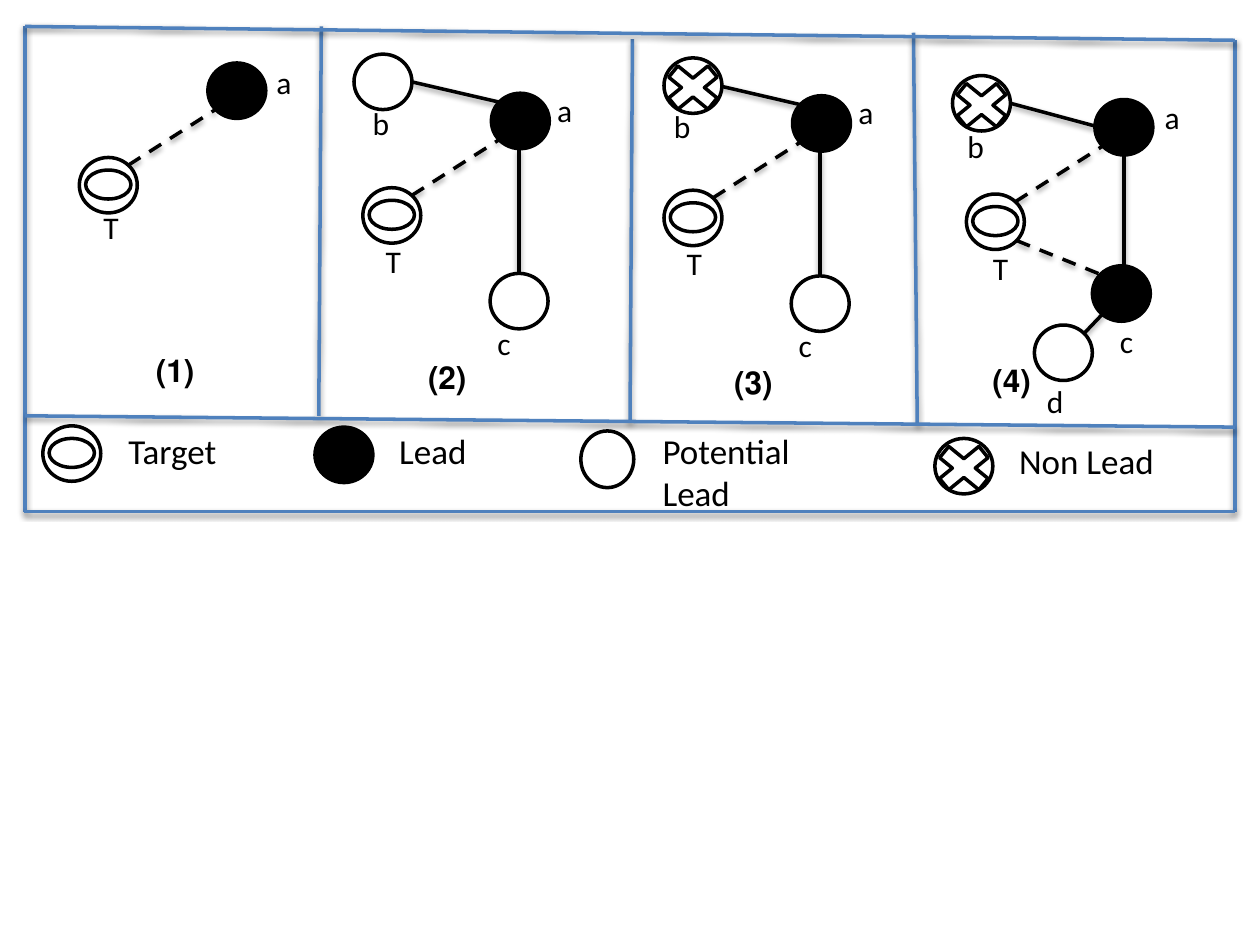
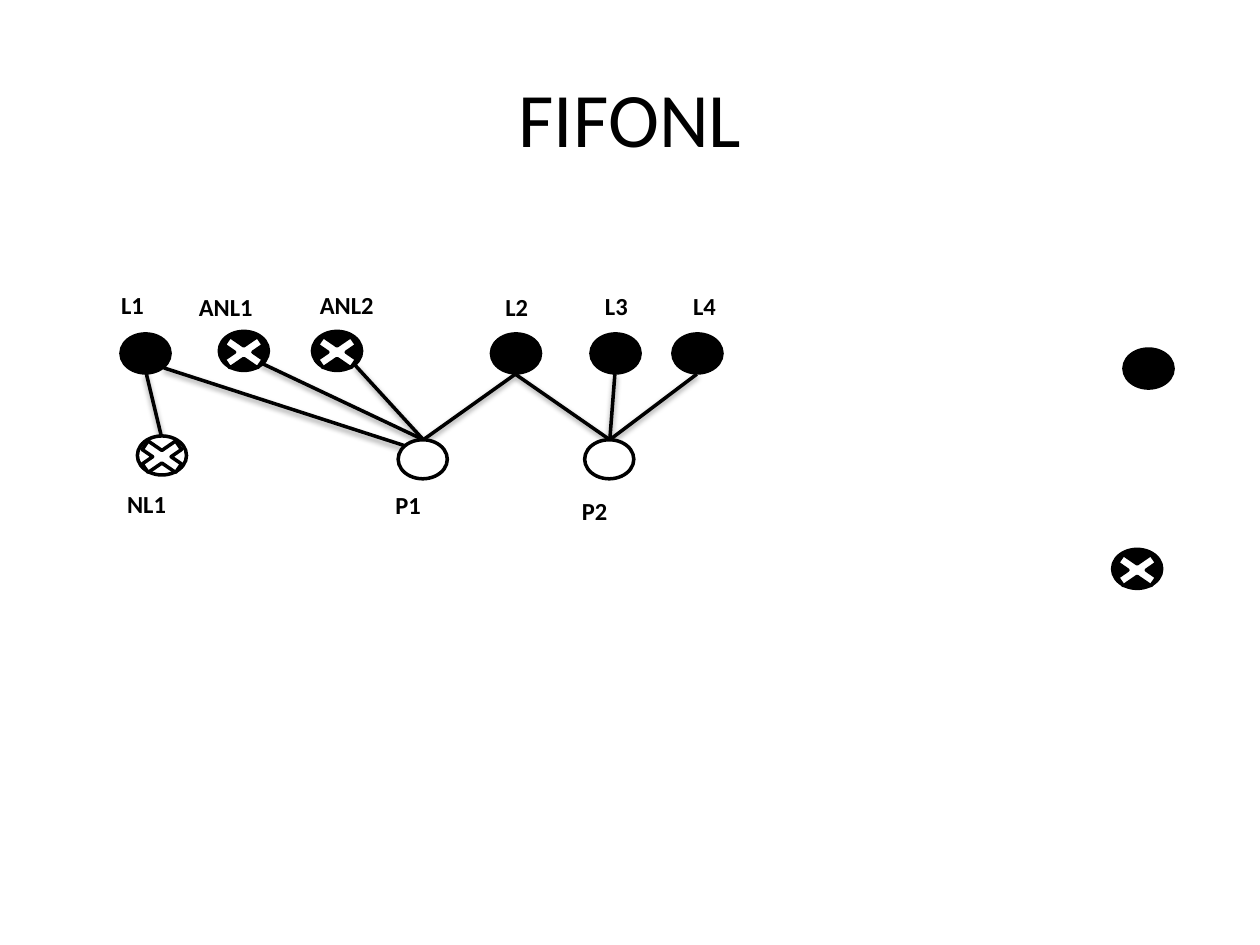
"""Build two slides on target, lead and non-lead graphs."""
from dataclasses import dataclass
from enum import Enum

import pptx
import pptx.dml.color
import pptx.enum.dml
import pptx.enum.shapes
import pptx.enum.text
import pptx.oxml.ns
import pptx.util
from lxml import etree

SHAPE = pptx.enum.shapes.MSO_SHAPE
LEFT = pptx.enum.text.PP_ALIGN.LEFT
RIGHT = pptx.enum.text.PP_ALIGN.RIGHT
CENTER = pptx.enum.text.PP_ALIGN.CENTER


@dataclass(frozen=True)
class Theme:
    """Colours, font and type sizes of the deck."""
    ink: str = "000000"
    paper: str = "FFFFFF"
    frame: str = "4F81BD"
    font: str = "Calibri"
    title: int = 44
    legend: int = 20
    label: int = 18
    small: int = 14
    line: int = 2


THEME = Theme()


class Kind(Enum):
    """Node kinds as fill colour and inner mark."""
    TARGET = (THEME.paper, "ring")
    LEAD = (THEME.ink, "")
    POTENTIAL = (THEME.paper, "none")
    NON_LEAD = (THEME.paper, "cross")
    FORMER_LEAD = (THEME.ink, "cross")


@dataclass(frozen=True)
class Box:
    """A rectangle in inches."""
    x: float
    y: float
    width: float
    height: float


@dataclass(frozen=True)
class NodeSize:
    """Size of a node, with its inner marks placed from the node's corner."""
    width: float
    height: float
    cross: Box
    ring: Box


LARGE = NodeSize(0.46, 0.44, Box(-0.07, -0.01, 0.6, 0.49), Box(0.05, 0.1, 0.36, 0.23))
SMALL = NodeSize(0.39, 0.31, Box(-0.06, -0.01, 0.51, 0.35), Box(0.05, 0.07, 0.29, 0.17))
TALL = NodeSize(0.42, 0.45, LARGE.cross, LARGE.ring)


@dataclass(frozen=True)
class Node:
    """A graph node by its top left corner."""
    kind: Kind
    x: float
    y: float
    size: NodeSize = LARGE


@dataclass(frozen=True)
class Link:
    """A line between two points."""
    x1: float
    y1: float
    x2: float
    y2: float
    dashed: bool = False
    colour: str = THEME.ink


@dataclass(frozen=True)
class Label:
    """A text with its box and look."""
    text: str
    box: Box
    size: int = THEME.label
    bold: bool = False
    align: pptx.enum.text.PP_ALIGN = LEFT
    rtl: bool = True


def inches(value: float) -> pptx.util.Length:
    """Turn inches into a length."""
    return pptx.util.Cm(value * 2.54)


def rgb(colour: str) -> pptx.dml.color.RGBColor:
    """Turn a hex string into a colour."""
    return pptx.dml.color.RGBColor.from_string(colour)


def write(para, text: str, size: int, bold: bool = False) -> None:
    """Add text to a paragraph, one run for each line."""
    for index, line in enumerate(text.split("\n")):
        if index:
            para.add_line_break()
        span = para.add_run()
        span.text = line
        span.font.name = THEME.font
        span.font.size = pptx.util.Pt(size)
        span.font.bold = bold
        span.font.color.rgb = rgb(THEME.ink)


def set_right_to_left(para) -> None:
    """Make a paragraph run from right to left."""
    para._p.get_or_add_pPr().set("rtl", "1")


def draw_shape(page, preset, box: Box, fill: str) -> None:
    """Draw an outlined preset shape."""
    shape = page.shapes.add_shape(
        preset, inches(box.x), inches(box.y), inches(box.width), inches(box.height))
    shape.shadow.inherit = False
    shape.fill.solid()
    shape.fill.fore_color.rgb = rgb(fill)
    shape.line.color.rgb = rgb(THEME.ink)
    shape.line.width = pptx.util.Pt(THEME.line)


def draw_node(page, node: Node) -> None:
    """Draw a node and its inner mark."""
    fill, mark = node.kind.value
    size = node.size
    draw_shape(page, SHAPE.OVAL, Box(node.x, node.y, size.width, size.height), fill)
    marks = {"cross": (SHAPE.MATH_MULTIPLY, size.cross), "ring": (SHAPE.OVAL, size.ring)}
    if mark in marks:
        preset, inner = marks[mark]
        place = Box(node.x + inner.x, node.y + inner.y, inner.width, inner.height)
        draw_shape(page, preset, place, THEME.paper)


def add_shadow(connector) -> None:
    """Give a connector a soft shadow below it."""
    qn = pptx.oxml.ns.qn
    effects = etree.SubElement(connector._element.spPr, qn("a:effectLst"))
    shadow = etree.SubElement(effects, qn("a:outerShdw"), blurRad="40000", dist="20000",
                              dir="5400000", rotWithShape="0")
    colour = etree.SubElement(shadow, qn("a:srgbClr"), val=THEME.ink)
    etree.SubElement(colour, qn("a:alpha"), val="38000")


def draw_link(page, link: Link) -> None:
    """Draw a solid or dashed line."""
    connector = page.shapes.add_connector(
        pptx.enum.shapes.MSO_CONNECTOR.STRAIGHT,
        inches(link.x1), inches(link.y1), inches(link.x2), inches(link.y2))
    connector.line.color.rgb = rgb(link.colour)
    connector.line.width = pptx.util.Pt(THEME.line)
    if link.dashed:
        connector.line.dash_style = pptx.enum.dml.MSO_LINE.DASH
    add_shadow(connector)


def draw_label(page, label: Label) -> None:
    """Draw a label in a wrapping text box."""
    box = label.box
    frame = page.shapes.add_textbox(
        inches(box.x), inches(box.y), inches(box.width), inches(box.height)).text_frame
    frame.word_wrap = True
    para = frame.paragraphs[0]
    para.alignment = label.align
    if label.rtl:
        set_right_to_left(para)
    write(para, label.text, label.size, label.bold)


def draw_graph(page, links: list[Link], nodes: list[Node], labels: list[Label]) -> None:
    """Draw links, then nodes, then labels."""
    for link in links:
        draw_link(page, link)
    for node in nodes:
        draw_node(page, node)
    for label in labels:
        draw_label(page, label)


def frame_line(x1: float, y1: float, x2: float, y2: float) -> Link:
    """Describe a line of the panel frame."""
    return Link(x1, y1, x2, y2, colour=THEME.frame)


def near_left(text: str, x: float, y: float) -> Label:
    """Describe a node name set from the left."""
    return Label(text, Box(x, y, 0.67, 0.4))


def near_right(text: str, x: float, y: float) -> Label:
    """Describe a node name set to the right."""
    return Label(text, Box(x, y, 0.52, 0.56), align=RIGHT)


def draw_pair(page, x: float, y: float, target: tuple, lead: tuple) -> None:
    """Draw target T at a point, lead a, their dashed link and their names."""
    draw_graph(
        page,
        [Link(x + 0.39, y + 0.06, x + 1.08, y - 0.38, dashed=True)],
        [Node(Kind.TARGET, x, y), Node(Kind.LEAD, x + 1.02, y - 0.75)],
        [near_right("T", *target), near_right("a", *lead)])


def draw_star(page, x: float, y: float, neighbour: Node) -> None:
    """Draw a panel where lead a has the neighbours b and c."""
    draw_graph(
        page,
        [Link(x + 1.24, y - 0.31, x + 1.24, y + 0.68),
         Link(x + 1.08, y - 0.68, x + 0.39, y - 0.84)],
        [Node(Kind.POTENTIAL, x + 1.01, y + 0.68), neighbour],
        [near_left("c", x + 0.97, y + 1.03), near_left("b", x - 0.02, y - 0.71)])
    draw_pair(page, x, y, (x - 0.12, y + 0.38), (x + 1.24, y - 0.82))


def build_steps(page) -> None:
    """Draw the four steps and the legend."""
    frame = [(7.25, 0.26, 7.28, 3.38), (2.55, 0.21, 2.53, 3.3), (5.02, 0.31, 5, 3.35),
             (0.2, 0.21, 0.2, 4.06), (9.8, 0.32, 9.8, 4.06), (0.2, 3.3, 9.8, 3.39),
             (0.2, 0.21, 9.8, 0.32), (0.19, 4.06, 9.8, 4.06)]
    draw_graph(page, [frame_line(*ends) for ends in frame], [], [])
    draw_pair(page, 0.63, 1.25, (0.52, 1.6), (1.89, 0.45))
    draw_star(page, 2.88, 1.49, Node(Kind.POTENTIAL, 2.81, 0.43))
    draw_star(page, 5.27, 1.51, Node(Kind.NON_LEAD, 5.27, 0.46))
    draw_graph(
        page,
        [Link(8.92, 1.22, 8.92, 2.21), Link(8.69, 1, 8.02, 0.82),
         Link(8.82, 2.42, 8.61, 2.64), Link(8.07, 1.91, 8.74, 2.18, dashed=True)],
        [Node(Kind.NON_LEAD, 7.56, 0.6), Node(Kind.LEAD, 8.67, 2.11),
         Node(Kind.POTENTIAL, 8.21, 2.58)],
        [near_left("c", 8.79, 2.51), near_left("b", 7.58, 0.96), near_left("d", 8.21, 2.98)])
    draw_pair(page, 7.67, 1.54, (7.58, 1.93), (8.94, 0.73))
    steps = [(0.86, 2.74), (3.02, 2.79), (5.45, 2.83), (7.5, 2.82)]
    for number, (x, y) in enumerate(steps, 1):
        draw_label(page, Label(f"({number})", Box(x, y, 0.78, 0.56), bold=True, align=RIGHT))
    legend = [
        (Node(Kind.TARGET, 0.34, 3.38), "Target", Box(0.92, 3.36, 1.48, 0.44)),
        (Node(Kind.LEAD, 2.5, 3.39), "Lead", Box(3.07, 3.36, 0.99, 0.44)),
        (Node(Kind.POTENTIAL, 4.61, 3.42, TALL), "Potential \nLead", Box(5.16, 3.36, 2.28, 0.77)),
        (Node(Kind.NON_LEAD, 7.42, 3.48), "Non Lead", Box(7.99, 3.44, 1.66, 0.44))]
    for node, text, box in legend:
        draw_graph(page, [], [node], [Label(text, box, THEME.legend, rtl=False)])


def build_fifonl(page) -> None:
    """Draw the titled graph of leads and potential leads."""
    title = page.shapes.title
    title.left, title.top, title.width, title.height = map(inches, (0.5, 0.3, 9, 1.25))
    para = title.text_frame.paragraphs[0]
    para.alignment = CENTER
    set_right_to_left(para)
    write(para, "FIFONL", THEME.title)

    p1, p2, l2 = (3.36, 3.49), (4.84, 3.49), (4.09, 2.97)
    ends = [((1.16, 2.96), (1.28, 3.46)), ((1.3, 2.92), (3.22, 3.54)),
            ((2.07, 2.88), p1), ((2.82, 2.9), p1), (l2, p1), (l2, p2),
            ((4.88, 2.97), p2), ((5.53, 2.97), p2)]
    places = {
        Kind.LEAD: [(0.96, 2.65), (3.9, 2.65), (4.69, 2.65), (5.34, 2.65), (8.92, 2.77)],
        Kind.FORMER_LEAD: [(1.74, 2.63), (2.48, 2.63), (8.83, 4.36)],
        Kind.NON_LEAD: [(1.09, 3.46)],
        Kind.POTENTIAL: [(3.16, 3.49), (4.64, 3.49)]}
    lead_names = [("L1", 0.85, 2.25), ("L2", 3.9, 2.27), ("L3", 4.69, 2.26), ("L4", 5.39, 2.26)]
    other_names = [("ANL1", 1.48, 2.27), ("ANL2", 2.44, 2.25), ("NL1", 0.91, 3.83),
                   ("P1", 3.04, 3.84), ("P2", 4.52, 3.89)]
    draw_graph(
        page,
        [Link(*start, *end) for start, end in ends],
        [Node(kind, x, y, SMALL) for kind, spots in places.items() for x, y in spots],
        [Label(text, Box(x, y, width, 0.34), THEME.small, True, align)
         for names, width, align in ((lead_names, 0.39, RIGHT), (other_names, 0.65, LEFT))
         for text, x, y in names])


def main() -> None:
    """Build and save the deck."""
    deck = pptx.Presentation()
    deck.slide_width, deck.slide_height = inches(10), inches(7.5)
    build_steps(deck.slides.add_slide(deck.slide_layouts.get_by_name("Blank")))
    build_fifonl(deck.slides.add_slide(deck.slide_layouts.get_by_name("Title Only")))
    deck.save("out.pptx")


if __name__ == "__main__":
    main()
